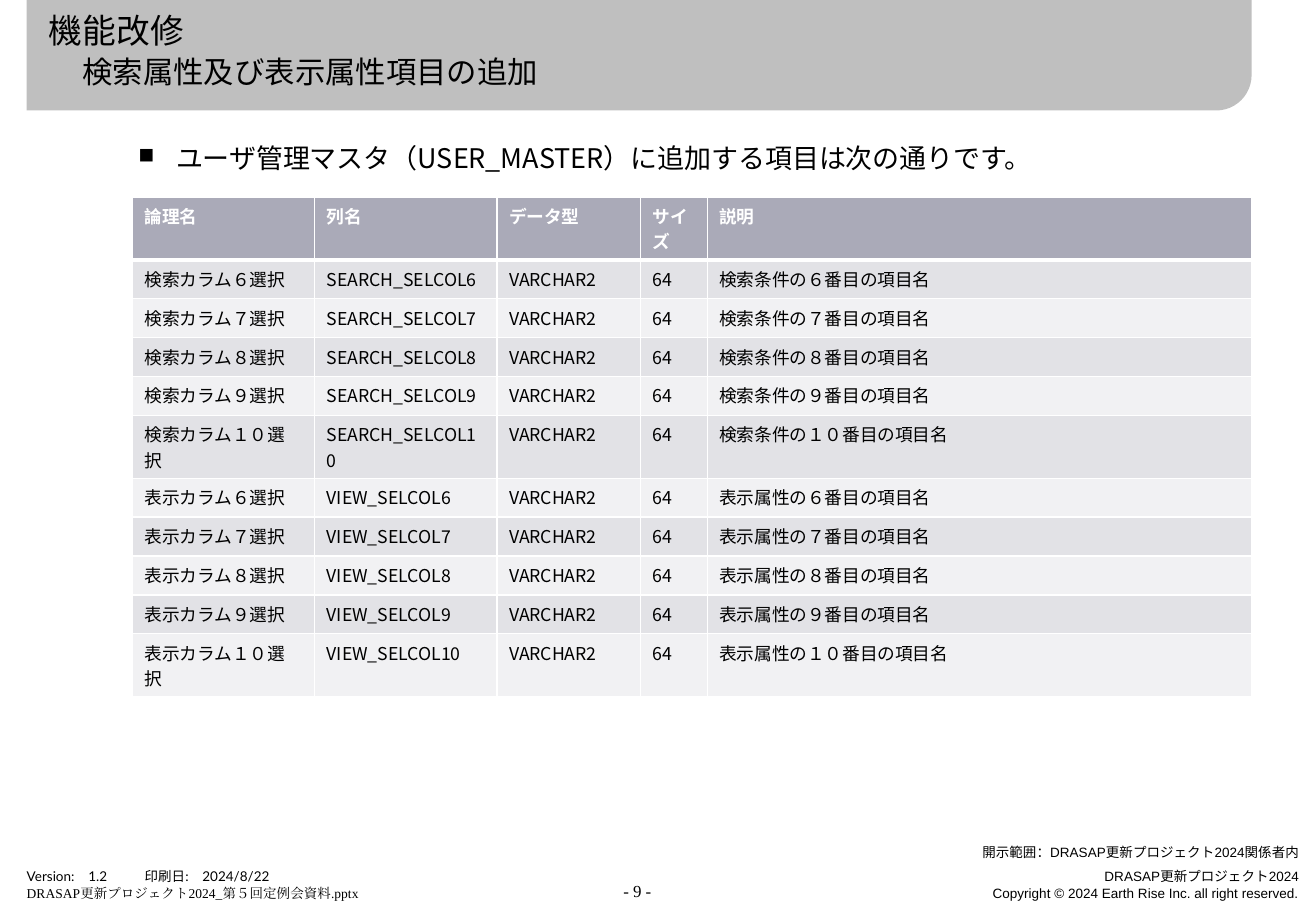
from dataclasses import dataclass

from lxml.etree import SubElement
from pptx import Presentation
from pptx.dml.color import RGBColor
from pptx.enum.shapes import MSO_SHAPE
from pptx.enum.text import MSO_ANCHOR, MSO_AUTO_SIZE, PP_ALIGN
from pptx.oxml.ns import qn
from pptx.util import Emu, Pt

EMU_PER_PX = 9144  # 100 px to the inch


@dataclass(frozen=True)
class Theme:
    ink: str = "000000"
    paper: str = "FFFFFF"
    band: str = "BFBFBF"
    header: str = "AAAAB8"
    stripes: tuple = ("E2E2E6", "F1F1F3")
    title_font: str = "Quicksand"
    body_font: str = "Noto Sans CJK JP"
    footer_font: str = "Arial"
    version_font: str = "Lato"
    serif_font: str = "Times New Roman"
    title_size: float = 20
    subtitle_size: float = 18
    body_size: float = 16
    table_size: float = 10.5
    page_size: float = 10
    footer_size: float = 8


def px(length):
    return Emu(length * EMU_PER_PX)


def add_text(para, text, *, font, size, color, bold=False):
    span = para.add_run()
    span.text = text
    span.font.name = font
    span.font.size = Pt(size)
    span.font.bold = bold
    span.font.color.rgb = RGBColor.from_string(color)
    SubElement(span.font._element, qn("a:ea"), typeface=font)


def add_border(cell, side, width):
    line = SubElement(cell._tc.get_or_add_tcPr(), qn(f"a:ln{side}"), w=str(Pt(width)))
    fill = SubElement(line, qn("a:solidFill"))
    SubElement(fill, qn("a:srgbClr"), val=Theme.paper)


class SlideBuilder:
    def __init__(self, deck, theme):
        self.theme = theme
        self.page = deck.slides.add_slide(deck.slide_layouts[5])

    def band(self, left, top, width, height):
        band = self.page.shapes.add_shape(
            MSO_SHAPE.ROUND_1_RECTANGLE, px(left), px(top), px(width), px(height))
        band.adjustments[0] = 0.32
        band.shadow.inherit = False
        band.fill.solid()
        band.fill.fore_color.rgb = RGBColor.from_string(self.theme.band)
        band.line.fill.background()
        band.element.spPr.xfrm.set("flipV", "1")
        self.page.shapes.title.element.addprevious(band.element)

    def title(self, heading, subheading, left, top, width, height):
        theme = self.theme
        box = self.page.shapes.title
        box.left, box.top, box.width, box.height = map(px, (left, top, width, height))
        frame = box.text_frame
        frame.word_wrap = True
        frame.auto_size = MSO_AUTO_SIZE.NONE
        frame.vertical_anchor = MSO_ANCHOR.MIDDLE
        para = frame.paragraphs[0]
        para.alignment = PP_ALIGN.LEFT
        style = dict(font=theme.title_font, color=theme.ink)
        add_text(para, heading, size=theme.title_size, **style)
        para.add_line_break()
        add_text(para, "　", size=theme.title_size, **style)
        add_text(para, subheading, size=theme.subtitle_size, **style)

    def text_box(self, left, top, width, height):
        box = self.page.shapes.add_textbox(px(left), px(top), px(width), px(height))
        box.text_frame.word_wrap = True
        return box.text_frame

    def bullet(self, text, left, top, width, height):
        para = self.text_box(left, top, width, height).paragraphs[0]
        properties = para._p.get_or_add_pPr()
        properties.set("marL", str(px(81)))
        properties.set("indent", str(px(-31)))
        SubElement(properties, qn("a:buSzPct"), val="80000")
        SubElement(properties, qn("a:buChar"), char="■")
        add_text(para, text, font=self.theme.body_font, size=self.theme.body_size,
                 color=self.theme.ink)

    def footer(self, lines, left, top, width, height, *, align=PP_ALIGN.LEFT,
               size=Theme.footer_size, spacing=Pt(10), anchor=MSO_ANCHOR.TOP, tab=None):
        """Each line is a pair of text and font."""
        frame = self.text_box(left, top, width, height)
        frame.margin_left = frame.margin_right = 0
        frame.margin_top = frame.margin_bottom = 0
        frame.vertical_anchor = anchor
        for index, (text, font) in enumerate(lines):
            para = frame.add_paragraph() if index else frame.paragraphs[0]
            para.alignment = align
            para.line_spacing = spacing
            if tab and "\t" in text:
                tabs = SubElement(para._p.get_or_add_pPr(), qn("a:tabLst"))
                SubElement(tabs, qn("a:tab"), pos=str(px(tab)), algn="l")
            add_text(para, text, font=font, size=size, color=self.theme.ink)

    def table(self, rows, left, top, widths, heights):
        theme = self.theme
        table = self.page.shapes.add_table(
            len(rows), len(widths), px(left), px(top), px(sum(widths)), px(sum(heights))).table
        for column, width in zip(table.columns, widths):
            column.width = px(width)
        for number, (texts, height) in enumerate(zip(rows, heights)):
            is_header = number == 0
            table.rows[number].height = px(height)
            fill = theme.header if is_header else theme.stripes[(number - 1) % 2]
            for cell, text in zip(table.rows[number].cells, texts):
                for side in "LRTB":
                    thick = (is_header and side == "B") or (number == 1 and side == "T")
                    add_border(cell, side, 3 if thick else 1)
                cell.fill.solid()
                cell.fill.fore_color.rgb = RGBColor.from_string(fill)
                add_text(cell.text_frame.paragraphs[0], text, font=theme.body_font,
                         size=theme.table_size, bold=is_header,
                         color=theme.paper if is_header else theme.ink)


def column_rows():
    """Return the table rows and their heights; rows with wrapped text are taller."""
    one_line, two_lines = 32, 52
    rows = [("論理名", "列名", "データ型", "サイズ", "説明")]
    heights = [two_lines]
    groups = (("検索", "SEARCH", "検索条件"), ("表示", "VIEW", "表示属性"))
    for label, prefix, subject in groups:
        for digits in ("６", "７", "８", "９", "１０"):
            rows.append((f"{label}カラム{digits}選択", f"{prefix}_SELCOL{int(digits)}",
                         "VARCHAR2", "64", f"{subject}の{digits}番目の項目名"))
            heights.append(two_lines if len(digits) > 1 else one_line)
    return rows, heights


def main():
    deck = Presentation()
    deck.slide_width, deck.slide_height = px(1083), px(750)
    theme = Theme()
    slide = SlideBuilder(deck, theme)

    slide.band(22, 0, 1008, 91)
    slide.title("機能改修", "検索属性及び表示属性項目の追加", 30, 14, 740, 54)
    slide.bullet("ユーザ管理マスタ（USER_MASTER）に追加する項目は次の通りです。",
                 54, 112, 975, 563)
    rows, heights = column_rows()
    slide.table(rows, 109, 162, (150, 150, 118, 55, 448), heights)

    slide.footer([("開示範囲：DRASAP更新プロジェクト2024関係者内", theme.footer_font)],
                 699, 694, 370, 13, align=PP_ALIGN.RIGHT)
    slide.footer([("DRASAP更新プロジェクト2024", theme.footer_font),
                  ("Copyright © 2024 Earth Rise Inc. all right reserved.", theme.footer_font)],
                 518, 714, 551, 28, align=PP_ALIGN.RIGHT)
    slide.footer([("Version:　1.2\t印刷日:　2024/8/22", theme.version_font),
                  ("DRASAP更新プロジェクト2024_第５回定例会資料.pptx", theme.serif_font)],
                 22, 714, 331, 28, anchor=MSO_ANCHOR.BOTTOM, tab=97)
    slide.footer([("- 9 -", theme.serif_font)], 496, 725, 57, 17,
                 align=PP_ALIGN.CENTER, size=theme.page_size, spacing=1.0)
    deck.save("out.pptx")


if __name__ == "__main__":
    main()
